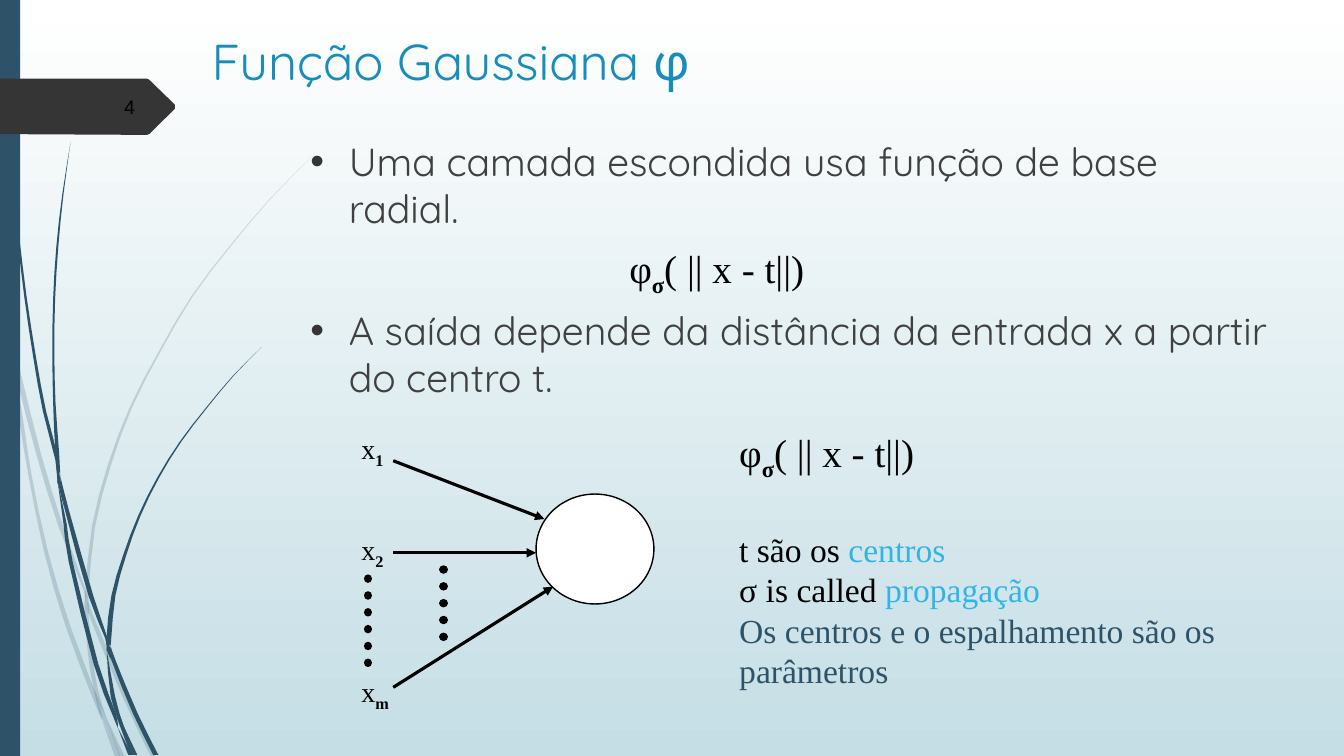
from lxml.etree import SubElement
from pptx import Presentation
from pptx.dml.color import RGBColor
from pptx.enum.dml import MSO_LINE
from pptx.enum.shapes import MSO_CONNECTOR, MSO_SHAPE
from pptx.enum.text import MSO_ANCHOR, PP_ALIGN
from pptx.oxml.ns import qn
from pptx.util import Cm, Pt

BLACK = RGBColor(0x00, 0x00, 0x00)
WHITE = RGBColor(0xFF, 0xFF, 0xFF)
MIST = RGBColor(0xC5, 0xDE, 0xE5)
NAVY = RGBColor(0x2E, 0x53, 0x69)
COAL = RGBColor(0x35, 0x35, 0x35)
GREY = RGBColor(0x40, 0x40, 0x40)
TEAL = RGBColor(0x17, 0x8D, 0xBB)
SKY = RGBColor(0x31, 0xB4, 0xE6)

MATH = {"name": "Times New Roman", "size": Pt(28), "color": BLACK}
NOTE = {**MATH, "size": Pt(24)}
LABEL = {**MATH, "size": Pt(20)}
POINT = {"name": "Quicksand", "size": Pt(28), "color": GREY}
HEAD = {"name": "Quicksand", "size": Pt(36), "color": TEAL}
PAGE = {"name": "Arial", "size": Pt(14), "color": BLACK}
SUB = {"bold": True, "base": "-25000"}
PHI = [("φ", MATH), ("σ", {**MATH, **SUB}), ("( || x - t||)", MATH)]

PALE = [
    [(0, 7.16, 0), (0, 7.59, 0.1), (0.28, 8.89, 0)],
    [(0.36, 8.76, 0), (0.43, 9.55, 0.13), (0.91, 11.43, 0.12), (1.47, 13.26, 0.12), (2.11, 14.88, 0.05),
     (2.13, 15.21, 0)],
    [(2.24, 15.14, 0), (2.24, 15.49, 0.1), (3.12, 17.63, 0.13), (3.81, 19.08, 0.13)],
    [(2.67, 18.06, 0), (3.02, 19.08, 0.13)],
    [(0.28, 8.89, 0), (0.46, 10.41, 0.1), (0.71, 11.94, 0.08), (1.11, 13.9, 0.1), (1.65, 15.77, 0.12),
     (2.34, 17.6, 0.12), (2.57, 18.14, 0)],
    [(2.13, 15.21, 0), (2.13, 15.49, 0.1), (2.21, 16.41, 0.1), (2.36, 17.35, 0.1), (2.67, 18.06, 0)],
    [(7.92, 3.89, 0), (6.81, 5, 0.02), (5.79, 6.2, 0.03), (4.82, 7.47, 0.04), (4.01, 8.84, 0.05),
     (3.28, 10.24, 0.06), (2.72, 11.71, 0.08), (2.32, 13.25, 0.08), (2.16, 14.83, 0.08), (2.24, 15.14, 0)],
    [(2.57, 18.14, 0), (2.9, 19.08, 0.12)],
    [(2.16, 14.88, 0), (2.13, 15.21, 0.1), (2.24, 15.49, 0)],
    [(2.36, 17.35, 0), (2.51, 17.96, 0.12), (3.02, 19.08, 0.02)],
]
DARK = [
    [(0.08, 0, 0.02), (0.13, 1.22, 0.02), (0.18, 2.79, 0.03), (0.28, 4.36, 0.04), (0.43, 5.92, 0.05),
     (0.61, 7.47, 0.06), (0.84, 9.02, 0.07), (1.08, 10.36, 0.08), (1.4, 11.61, 0.08), (1.45, 12.22, 0)],
    [(1.52, 11.99, 0), (1.63, 12.83, 0.1), (2.24, 15.04, 0.12), (2.65, 16.08, 0.06), (2.69, 16.38, 0)],
    [(2.79, 16.28, 0), (2.82, 16.66, 0.1), (3.35, 17.98, 0.12), (3.86, 19.02, 0.13)],
    [(1.45, 12.12, 0), (1.6, 13.2, 0.08), (1.73, 14.15, 0.1), (2.36, 16.74, 0.12), (2.82, 17.98, 0.1),
     (2.97, 18.34, 0)],
    [(1.78, 3.58, 0), (1.57, 4.9, 0.03), (1.42, 6.22, 0.05), (1.34, 7.53, 0.05), (1.32, 8.86, 0.05),
     (1.34, 10.15, 0.06), (1.4, 11.4, 0.09), (1.52, 11.99, 0)],
    [(3.1, 18.26, 0), (3.38, 19.02, 0.08)],
    [(1.4, 11.4, 0), (1.45, 12.12, 0.08), (1.63, 12.83, 0)],
    [(6.6, 8.74, 0), (5.87, 9.47, 0.02), (5.18, 10.29, 0.03), (4.53, 11.13, 0.04), (3.96, 12.04, 0.05),
     (3.48, 13, 0.06), (3.1, 14, 0.08), (2.81, 15, 0.1), (2.69, 16.03, 0.12), (2.79, 16.28, 0)],
    [(2.97, 18.34, 0), (3.23, 19.02, 0.1)],
    [(2.69, 16.38, 0), (2.79, 17.55, 0.11), (3.1, 18.26, 0)],
    [(2.69, 16.03, 0), (2.69, 16.38, 0.1), (2.82, 16.66, 0)],
    [(2.79, 17.55, 0), (2.95, 18.1, 0.1), (3.3, 19.02, 0.08)],
]
TAG = [(4.41, 2.74), (3.76, 3.38), (3.7, 3.4), (0, 3.38), (0, 1.98), (3.7, 1.98), (3.76, 2.01), (4.41, 2.64)]


def write(para, runs, **form):
    """Fill a paragraph with styled runs and set its format."""
    for key, value in form.items():
        setattr(para, key, value)
    for text, font in runs:
        run = para.add_run()
        run.text = text
        for key, value in font.items():
            if key == "color":
                run.font.color.rgb = value
            elif key == "base":
                run._r.get_or_add_rPr().set("baseline", value)
            else:
                setattr(run.font, key, value)


def add_text(slide, box, paras, wrap=True, anchor=MSO_ANCHOR.TOP):
    """Add a text box whose paragraphs are pairs of runs and format."""
    frame = slide.shapes.add_textbox(*map(Cm, box)).text_frame
    frame.word_wrap, frame.vertical_anchor = wrap, anchor
    for i, (runs, form) in enumerate(paras):
        write(frame.add_paragraph() if i else frame.paragraphs[0], runs, **form)
    return frame


def add_points(slide, box, lines, gap):
    """Add a bulleted list with a gap between its points."""
    paras = [([(line, POINT)], {"space_before": Pt(gap if i else 0)}) for i, line in enumerate(lines)]
    for para in add_text(slide, box, paras).paragraphs:
        props = para._p.get_or_add_pPr()
        props.set("marL", str(Cm(0.97)))
        props.set("indent", str(-Cm(0.97)))
        SubElement(SubElement(props, qn("a:buClr")), qn("a:srgbClr")).set("val", str(COAL))
        SubElement(props, qn("a:buFont")).set("typeface", "Arial")
        SubElement(props, qn("a:buChar")).set("char", "•")


def paint(shape, fill):
    """Give a shape a flat fill with no outline or shadow."""
    shape.shadow.inherit = False
    shape.fill.solid()
    shape.fill.fore_color.rgb = fill
    shape.line.fill.background()


def add_form(host, points, fill):
    """Add a closed outline through points in centimetres."""
    spots = [(Cm(x), Cm(y)) for x, y in points]
    pen = host.shapes.build_freeform(*spots[0])
    pen.add_line_segments(spots[1:], close=True)
    shape = pen.convert_to_shape()
    paint(shape, fill)
    return shape


def smooth(knots):
    """Add a point halfway between knots, on a soft curve."""
    ends = [knots[0], *knots, knots[-1]]
    curve = [knots[0]]
    for quad in zip(ends, ends[1:], ends[2:], ends[3:]):
        curve += [tuple((9 * (b + c) - a - d) / 16 for a, b, c, d in zip(*quad)), quad[2]]
    return curve


def add_grass(slide, blades, alpha=100):
    """Add a group of blades, each with knots of left, top and width."""
    group = slide.shapes.add_group_shape()
    for curve in map(smooth, blades):
        left = [(x, y) for x, y, wide in curve]
        right = [(x + wide, y) for x, y, wide in curve if wide]
        tint = add_form(group, left + right[::-1], NAVY).element.spPr.find(qn("a:solidFill"))[0]
        SubElement(tint, qn("a:alpha")).set("val", str(alpha * 1000))


def add_line(slide, ends, width, dots=False):
    """Add a black arrow, or a row of round dots."""
    link = slide.shapes.add_connector(MSO_CONNECTOR.STRAIGHT, *map(Cm, ends))
    link.line.color.rgb, link.line.width = BLACK, Pt(width)
    props = link.element.spPr
    edge = props.find(qn("a:ln"))
    if dots:
        link.line.dash_style = MSO_LINE.ROUND_DOT
        edge.set("cap", "rnd")
    else:
        SubElement(edge, qn("a:tailEnd")).set("type", "triangle")
    SubElement(props, qn("a:effectLst"))


def add_scene(slide):
    """Draw the backdrop with its grass, side strip and page tag."""
    fill = slide.background.fill
    fill.gradient()
    fill.gradient_angle = 270
    for stop, tint in zip(fill.gradient_stops, (WHITE, MIST)):
        stop.color.rgb = tint
    add_grass(slide, PALE, 20)
    add_grass(slide, DARK)
    paint(slide.shapes.add_shape(MSO_SHAPE.RECTANGLE, 0, 0, Cm(0.51), Cm(19.05)), NAVY)
    add_form(slide, TAG, COAL)
    add_text(slide, (1.49, 2.18, 2.16, 1.02), [([("4", PAGE)], {"alignment": PP_ALIGN.RIGHT})],
             anchor=MSO_ANCHOR.MIDDLE)


def add_title(slide, text):
    """Place and style the title."""
    title = slide.shapes.title
    for key, value in {"left": 5.08, "top": 0.64, "width": 23.65, "height": 2.69}.items():
        setattr(title, key, Cm(value))
    title.text_frame.vertical_anchor = MSO_ANCHOR.TOP
    write(title.text_frame.paragraphs[0], [(text, HEAD)], alignment=PP_ALIGN.LEFT)


def add_net(slide):
    """Draw the neuron with its inputs."""
    node = slide.shapes.add_shape(MSO_SHAPE.OVAL, *map(Cm, (13.51, 12.45, 2.97, 2.77)))
    paint(node, WHITE)
    node.line.color.rgb, node.line.width = BLACK, Pt(1)
    for ends in ((9.91, 11.61, 13.72, 13.08), (9.91, 13.93, 13.51, 13.93), (9.91, 17.32, 13.94, 14.78)):
        add_line(slide, ends, 2.25)
    for ends in ((11.18, 14.35, 11.18, 16.26), (9.27, 14.58, 9.27, 16.89)):
        add_line(slide, ends, 6, dots=True)
    for mark, top, wide in (("2", 13.29, 1.12), ("1", 10.75, 1.12), ("m", 16.88, 1.27)):
        runs = [("x", LABEL), (mark, {**LABEL, **SUB})]
        add_text(slide, (8.86, top, wide, 1.09), [(runs, {})], wrap=False)


def main():
    """Build the slide and save it."""
    deck = Presentation()
    deck.slide_width, deck.slide_height = Cm(33.87), Cm(19.05)
    slide = deck.slides.add_slide(deck.slide_layouts[5])
    add_scene(slide)
    add_title(slide, "Função Gaussiana φ")
    add_points(slide, (7.57, 3.33, 24.77, 10.49), [
        "Uma camada escondida usa função de base radial.",
        "A saída depende da distância da entrada x a partir do centro t."], 53.5)
    add_text(slide, (15.61, 6.03, 6.27, 1.45), [(PHI, {})])
    add_net(slide)
    add_text(slide, (18.38, 10.67, 13.97, 6.76), [
        (PHI, {}),
        ([("t são os ", NOTE), ("centros", {**NOTE, "color": SKY})], {"space_before": Pt(33.5)}),
        ([("σ is called ", NOTE), ("propagação", {**NOTE, "color": SKY})], {}),
        ([("Os centros e o espalhamento são os parâmetros", {**NOTE, "color": NAVY})], {})])
    deck.save("out.pptx")


if __name__ == "__main__":
    main()
